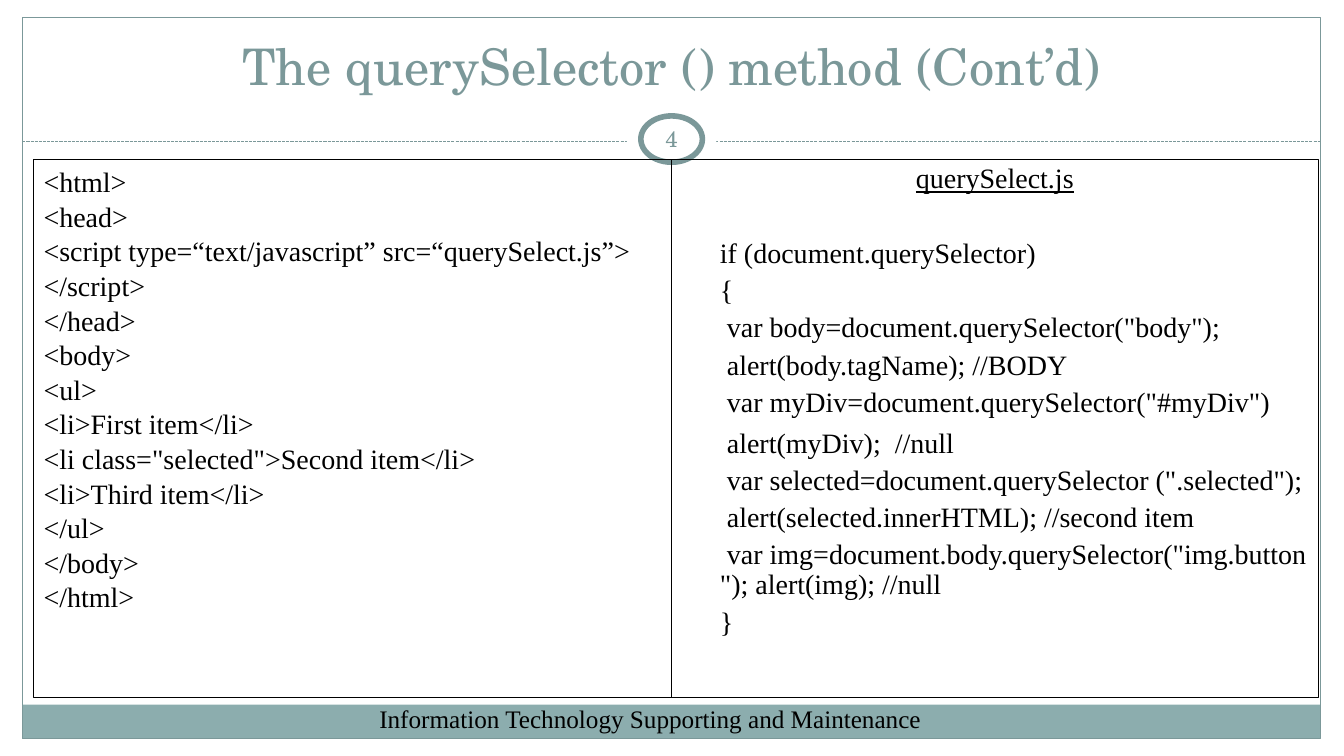
from dataclasses import dataclass

from lxml import etree
from pptx import Presentation
from pptx.dml.color import RGBColor
from pptx.enum import dml, shapes, text
from pptx.oxml import ns
from pptx.util import Pt

SHAPE = shapes.MSO_SHAPE
ALIGN = text.PP_ALIGN
ANCHOR = text.MSO_ANCHOR


@dataclass(frozen=True)
class Theme:
    teal: str = "7B9899"
    bar: str = "8CADAE"
    white: str = "FFFFFF"
    black: str = "000000"
    head: str = "TeX Gyre Schola"
    body: str = "Times New Roman"
    title: float = 36
    code: float = 20
    foot: float = 18
    page: float = 16


T = Theme()

HTML = """<html>
<head>
<script type=“text/javascript” src=“querySelect.js”>
</script>
</head>
<body>
<ul>
<li>First item</li>
<li class="selected">Second item</li>
<li>Third item</li>
</ul>
</body>
</html>""".split("\n")

# The image query has no break points, so it wraps inside the string
IMAGE = ' var img=document.body.querySelector("img.button"); alert(img); //null'
SCRIPT = [
    "querySelect.js",
    "if (document.querySelector)",
    "{",
    ' var body=document.querySelector("body");',
    " alert(body.tagName); //BODY",
    ' var myDiv=document.querySelector("#myDiv")',
    " alert(myDiv);  //null",
    ' var selected=document.querySelector (".selected");',
    " alert(selected.innerHTML); //second item",
    IMAGE.replace(" ", chr(160)),
    "}",
]


def rgb(color):
    return RGBColor.from_string(color)


def add_box(slide, area, kind=SHAPE.RECTANGLE, fill=None, line=None, width=0.75):
    box = slide.shapes.add_shape(kind, *map(Pt, area))
    box.shadow.inherit = False
    if fill:
        box.fill.solid()
        box.fill.fore_color.rgb = rgb(fill)
    else:
        box.fill.background()
    if line:
        box.line.color.rgb = rgb(line)
        box.line.width = Pt(width)
    else:
        box.line.fill.background()
    return box


def add_rule(slide, left, right, y):
    rule = slide.shapes.add_connector(
        shapes.MSO_CONNECTOR.STRAIGHT, Pt(left), Pt(y), Pt(right), Pt(y))
    rule.line.color.rgb = rgb(T.teal)
    rule.line.width = Pt(0.75)
    rule.line.dash_style = dml.MSO_LINE.SQUARE_DOT
    etree.SubElement(rule._element.spPr, ns.qn("a:effectLst"))


def set_text(box, lines, size, font=T.body, color=T.black,
             align=ALIGN.LEFT, anchor=ANCHOR.TOP, gap=0):
    frame = box.text_frame
    frame.word_wrap = True
    frame.vertical_anchor = anchor
    frame.text = "\n".join(lines)
    for i, para in enumerate(frame.paragraphs):
        para.alignment = align
        para.space_before = Pt(gap if i else 0)
        for run in para.runs:
            run.font.size = Pt(size)
            run.font.name = font
            run.font.color.rgb = rgb(color)
    return frame.paragraphs


def add_label(slide, area, label, size, **style):
    box = slide.shapes.add_textbox(*map(Pt, area))
    set_text(box, [label], size, **style)
    return box


def add_code(slide, area, lines, gap):
    box = add_box(slide, area, line=T.black)
    return set_text(box, lines, T.code, gap=gap)


def style_script(paras):
    name, first, *_ = paras
    for para in paras:
        para.line_spacing = 0.9
        if para is not name:
            para._p.get_or_add_pPr().set("marL", str(Pt(27.4)))
    name.alignment = ALIGN.CENTER
    name.runs[0].font.underline = True
    first.space_before = Pt(31.7)
    paras[SCRIPT.index(" alert(myDiv);  //null")].line_spacing = 1.0


def main():
    deck = Presentation()
    deck.slide_width, deck.slide_height = Pt(960.5), Pt(540)
    slide = deck.slides.add_slide(deck.slide_layouts[6])

    # Frame, footer bar and page ring
    add_box(slide, (16, 503.3, 927.6, 24.5), fill=T.bar)
    add_box(slide, (16, 12.2, 927.6, 515.6), line=T.teal)
    add_rule(slide, 16, 943.6, 100.8)
    add_box(slide, (448, 75.6, 64, 48.2), SHAPE.OVAL, fill=T.white)
    add_box(slide, (458, 82.8, 44, 33.1), SHAPE.OVAL, T.white, T.teal, 4)

    # Title
    heading = dict(font=T.head, color=T.teal, align=ALIGN.CENTER)
    add_label(slide, (32, 12.2, 895.7, 59.8), "The querySelector () method (Cont’d)",
              T.title, anchor=ANCHOR.BOTTOM, **heading)

    # Code panels
    add_code(slide, (24, 114, 456, 384), HTML, 0.7)
    style_script(add_code(slide, (480, 114, 462, 384), SCRIPT, 5))

    # Footer and page number
    add_label(slide, (264, 499, 414, 28.8),
              "Information Technology Supporting and Maintenance", T.foot)
    add_label(slide, (456, 82, 48, 34.6), "4", T.page,
              anchor=ANCHOR.MIDDLE, **heading)

    deck.save("out.pptx")


if __name__ == "__main__":
    main()
